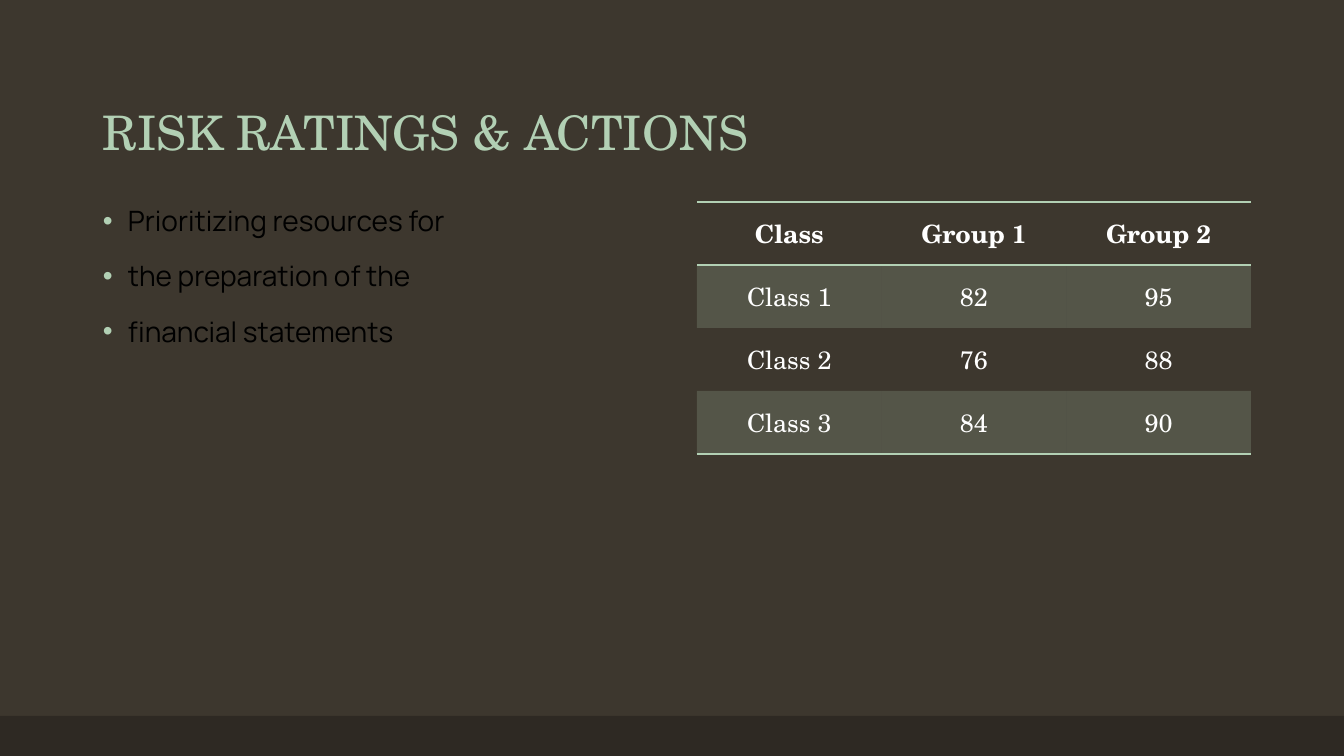
from lxml import etree
from pptx import Presentation
from pptx.dml.color import RGBColor
from pptx.enum.shapes import MSO_SHAPE
from pptx.enum.text import MSO_ANCHOR, PP_ALIGN
from pptx.oxml.ns import qn
from pptx.util import Emu, Pt

RECT = MSO_SHAPE.RECTANGLE
TOP, MIDDLE, BOTTOM = MSO_ANCHOR.TOP, MSO_ANCHOR.MIDDLE, MSO_ANCHOR.BOTTOM
LEFT, CENTER = PP_ALIGN.LEFT, PP_ALIGN.CENTER

BROWN = RGBColor(0x3D, 0x37, 0x2E)
DARK_BROWN = RGBColor(0x2E, 0x29, 0x23)
SAGE = RGBColor(0xB2, 0xD0, 0xB4)
BLACK = RGBColor(0, 0, 0)
WHITE = RGBColor(255, 255, 255)

SERIF = "TeX Gyre Schola"
SANS = "Manrope"
NO_STYLE = "{2D5ABB26-0587-4C30-8999-92F81FD0307C}"

SLIDE_W, SLIDE_H = 1344, 756
BAR_H = 40

BULLETS = ["Prioritizing resources for", "the preparation of the", "financial statements"]
RATINGS = [
    ["Class", "Group 1", "Group 2"],
    ["Class 1", "82", "95"],
    ["Class 2", "76", "88"],
    ["Class 3", "84", "90"],
]


def px(n):
    """Pixels to EMU, at 100.8 pixels to the inch."""
    return Emu(round(n * 914400 / 100.8))


def box(x, y, w, h):
    return px(x), px(y), px(w), px(h)


def format_text(p, font, size, color, align=LEFT, bold=False):
    p.alignment = align
    for r in p.runs:
        r.font.name = font
        r.font.size = Pt(size)
        r.font.color.rgb = color
        r.font.bold = bold


def add_bar(slide, x, y, w, h, color):
    sp = slide.shapes.add_shape(RECT, *box(x, y, w, h))
    sp.shadow.inherit = False
    sp.fill.solid()
    sp.fill.fore_color.rgb = color
    sp.line.fill.background()


def add_text(slide, x, y, w, h, text, font, size, color, anchor):
    tf = slide.shapes.add_textbox(*box(x, y, w, h)).text_frame
    tf.word_wrap = True
    tf.vertical_anchor = anchor
    tf.text = text
    for p in tf.paragraphs:
        p.line_spacing = 0.9
        format_text(p, font, size, color)
    return tf


def set_bullet(p, color):
    pPr = p._p.get_or_add_pPr()
    pPr.set("marL", str(px(25)))
    pPr.set("indent", str(-px(25)))
    bu_clr = etree.SubElement(pPr, qn("a:buClr"))
    etree.SubElement(bu_clr, qn("a:srgbClr"), val=str(color))
    etree.SubElement(pPr, qn("a:buFont"), typeface="Arial")
    etree.SubElement(pPr, qn("a:buChar"), char="•")


def set_border(cell, sides, color):
    tcPr = cell._tc.get_or_add_tcPr()
    for i, side in enumerate(sides):
        ln = etree.Element(qn("a:ln" + side), w=str(Pt(1)))
        fill = etree.SubElement(ln, qn("a:solidFill"))
        etree.SubElement(fill, qn("a:srgbClr"), val=str(color))
        tcPr.insert(i, ln)


def tint(cell, color, percent):
    cell.fill.solid()
    cell.fill.fore_color.rgb = color
    clr = cell._tc.tcPr.find(".//" + qn("a:srgbClr"))
    etree.SubElement(clr, qn("a:alpha"), val=str(percent * 1000))


def add_ratings_table(slide, x, y, w, h, rows):
    table = slide.shapes.add_table(len(rows), len(rows[0]), *box(x, y, w, h)).table
    table.horz_banding = False
    table._tbl.tblPr.find(qn("a:tableStyleId")).text = NO_STYLE
    last = len(rows) - 1
    for i, row in enumerate(rows):
        for j, value in enumerate(row):
            cell = table.cell(i, j)
            cell.text = value
            cell.vertical_anchor = MIDDLE
            format_text(cell.text_frame.paragraphs[0], SERIF, 18, WHITE, CENTER, i == 0)
            # Odd rows carry the band
            if i % 2:
                tint(cell, SAGE, 20)
            else:
                cell.fill.background()
            # Rules around the header and under the last row
            if i == 0:
                set_border(cell, "TB", SAGE)
            elif i == last:
                set_border(cell, "B", SAGE)


def main():
    prs = Presentation()
    prs.slide_width, prs.slide_height = px(SLIDE_W), px(SLIDE_H)
    slide = prs.slides.add_slide(prs.slide_layouts[6])

    # Background and bottom bar
    slide.background.fill.solid()
    slide.background.fill.fore_color.rgb = BROWN
    add_bar(slide, 0, SLIDE_H - BAR_H, SLIDE_W, BAR_H, DARK_BROWN)

    # Title
    add_text(slide, 93, 40, 1159, 126, "RISK RATINGS & ACTIONS", SERIF, 34, SAGE, BOTTOM)

    # Bullet list
    tf = add_text(slide, 93, 202, 554, 480, "\n".join(BULLETS), SANS, 20, BLACK, TOP)
    for p in tf.paragraphs:
        p.space_before = Pt(18)
        set_bullet(p, SAGE)

    # Ratings table
    add_ratings_table(slide, 697, 202, 554, 252, RATINGS)

    prs.save("out.pptx")


if __name__ == "__main__":
    main()
